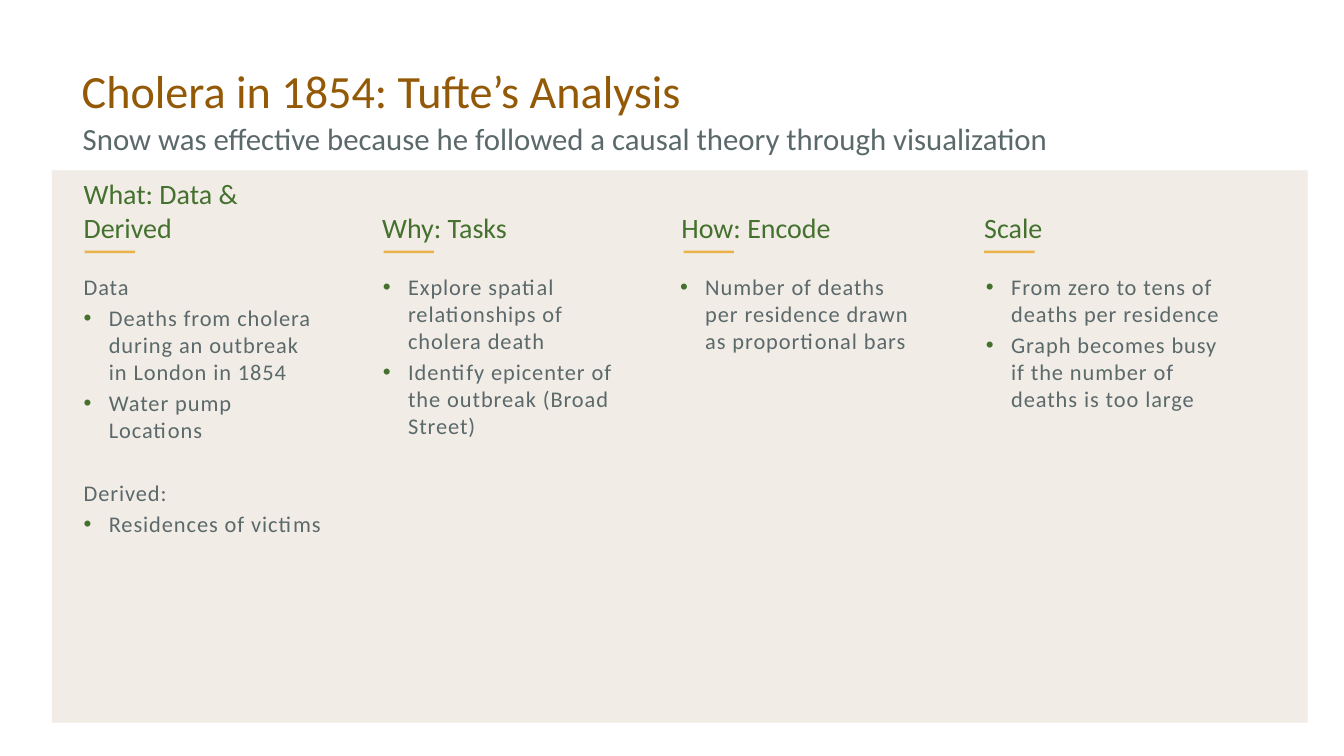
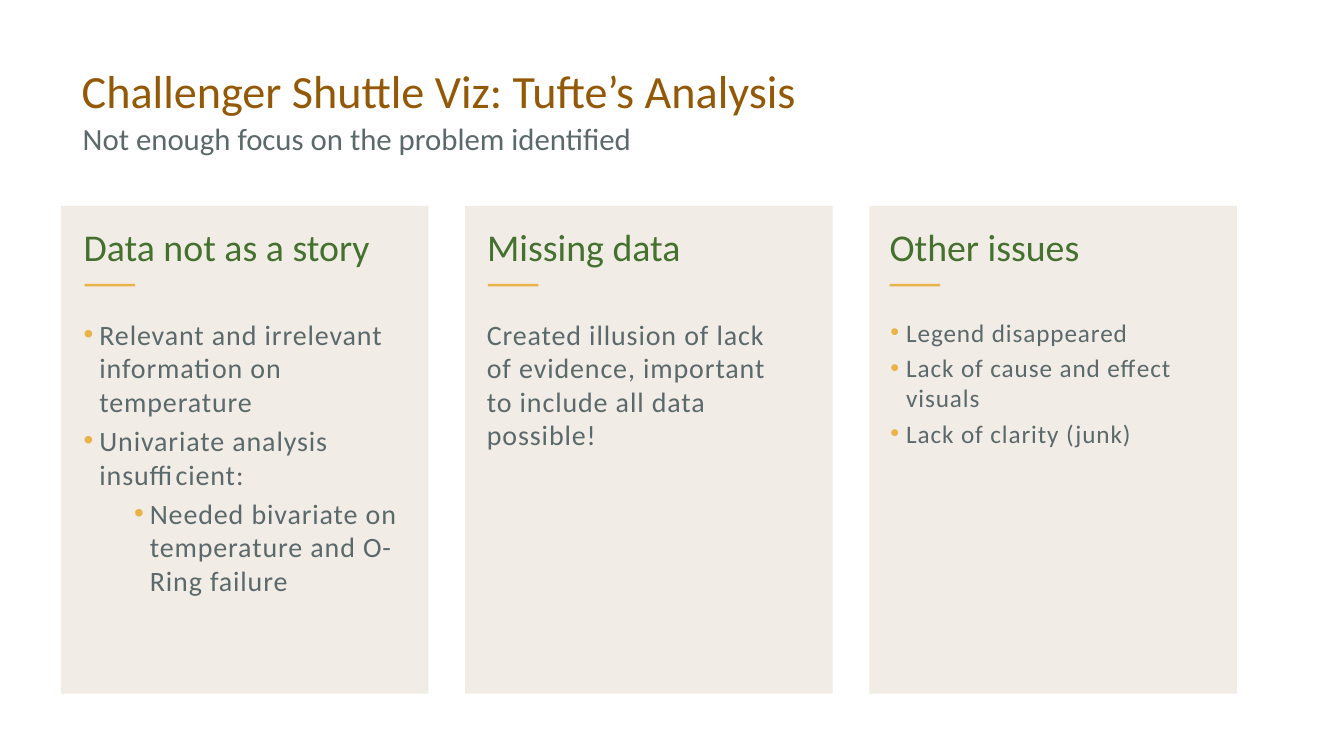
"""Build two slides that summarise Tufte's analyses of cholera and shuttle charts."""
from dataclasses import dataclass

import lxml.etree
import pptx
import pptx.dml.color
import pptx.enum.shapes
import pptx.enum.text
import pptx.oxml.ns
import pptx.util

FONT = "Calibri"
BROWN, GREY, GREEN = "935907", "5B696B", "44712E"
GOLD, SAND = "E9B348", "F1ECE6"
TITLE_LEFT, TITLE_WIDTH = 109.5, 1702
HEADING_HEIGHT = 90
LEVEL_STEP = 72
PANEL_PITCH = 577.4


@dataclass(frozen=True)
class Area:
    """A rectangle in points."""
    left: float
    top: float
    width: float
    height: float


@dataclass(frozen=True)
class Item:
    """One body paragraph; without a level it carries no bullet."""
    text: str
    level: int | None = 0
    space_before: float | None = None


@dataclass(frozen=True)
class Column:
    """A heading, the short bar beneath it and the body text."""
    heading: str
    heading_left: float
    bar_left: float
    body_left: float
    body_width: float
    body_size: float
    items: tuple[Item, ...]


@dataclass(frozen=True)
class ColumnStyle:
    """Vertical layout and bullet look shared by the columns of a slide."""
    heading_size: float
    heading_width: float
    heading_bottom: float
    bar_top: float
    body_top: float
    body_height: float
    bullet_color: str
    hanging: float


@dataclass(frozen=True)
class Page:
    """The whole content of a slide."""
    title: str
    subtitle: str
    panels: tuple[Area, ...]
    style: ColumnStyle
    columns: tuple[Column, ...]


PAGES = (
    Page(
        "Cholera in 1854: Tufte’s Analysis",
        "Snow was effective because he followed a causal theory through visualization",
        (Area(74, 243.5, 1794, 789),),
        ColumnStyle(40, 329, 348.5, 358, 390, 512, GREEN, 36),
        (
            Column("What: Data & Derived", 119.5, 121, 119.5, 343, 32, (
                Item("Data", None),
                Item("Deaths from cholera during an outbreak in London in 1854"),
                Item("Water pump Locations"),
                Item("Derived:", None, 50.5),
                Item("Residences of victims"),
            )),
            Column("Why: Tasks", 546, 548, 547, 343, 32, (
                Item("Explore spatial relationships of cholera death"),
                Item("Identify epicenter of the outbreak (Broad Street)"),
            )),
            Column("How: Encode", 973.5, 976.5, 971.5, 343, 32, (
                Item("Number of deaths per residence drawn as proportional bars"),
            )),
            Column("Scale", 1406, 1406, 1408.5, 358, 32, (
                Item("From zero to tens of deaths per residence"),
                Item("Graph becomes busy if the number of deaths is too large"),
            )),
        ),
    ),
    Page(
        "Challenger Shuttle Viz: Tufte’s Analysis",
        "Not enough focus on the problem identified",
        tuple(Area(87 + PANEL_PITCH * index, 294, 525, 697) for index in range(3)),
        ColumnStyle(54, 456, 384.5, 405.5, 453, 460, GOLD, 22.5),
        (
            Column("Data not as a story", 119.5, 121, 119.5, 453, 40, (
                Item("Relevant and irrelevant information on temperature"),
                Item("Univariate analysis insufficient:"),
                Item("Needed bivariate on temperature and O-Ring failure", 1),
            )),
            Column("Missing data", 696, 697, 695.5, 439, 40, (
                Item("Created illusion of lack of evidence, important to include "
                     "all data possible!", None),
            )),
            Column("Other issues", 1271, 1271, 1272, 456.5, 36, (
                Item("Legend disappeared"),
                Item("Lack of cause and effect visuals"),
                Item("Lack of clarity (junk)"),
            )),
        ),
    ),
)


def color(value: str) -> pptx.dml.color.RGBColor:
    """Turn a hex string into a colour."""
    return pptx.dml.color.RGBColor.from_string(value)


def area_lengths(area: Area) -> tuple[pptx.util.Length, ...]:
    """Give the left, top, width and height of an area as lengths."""
    return tuple(pptx.util.Pt(value)
                 for value in (area.left, area.top, area.width, area.height))


def add_rectangle(slide, area: Area, fill: str) -> None:
    """Draw a plain filled rectangle."""
    box = slide.shapes.add_shape(
        pptx.enum.shapes.MSO_SHAPE.RECTANGLE, *area_lengths(area))
    box.shadow.inherit = False
    box.fill.solid()
    box.fill.fore_color.rgb = color(fill)
    box.line.fill.background()


def prepare_frame(box, margin: float = 0, bottom: bool = False):
    """Set wrapping, margins and anchor, and return the text frame."""
    anchors = pptx.enum.text.MSO_ANCHOR
    frame = box.text_frame
    frame.word_wrap = True
    frame.auto_size = pptx.enum.text.MSO_AUTO_SIZE.NONE
    frame.vertical_anchor = anchors.BOTTOM if bottom else anchors.TOP
    frame.margin_left = frame.margin_right = pptx.util.Pt(margin)
    frame.margin_top = frame.margin_bottom = pptx.util.Pt(margin / 2)
    return frame


def add_text_box(slide, area: Area, margin: float = 0, bottom: bool = False):
    """Add a text box and return its text frame."""
    return prepare_frame(slide.shapes.add_textbox(*area_lengths(area)), margin, bottom)


def add_span(para, text: str, size: float, ink: str):
    """Append a formatted run to a left-aligned paragraph."""
    para.alignment = pptx.enum.text.PP_ALIGN.LEFT
    span = para.add_run()
    span.text = text
    span.font.name = FONT
    span.font.size = pptx.util.Pt(size)
    span.font.color.rgb = color(ink)
    return span


def add_bullet(para, level: int, style: ColumnStyle) -> None:
    """Give a paragraph a coloured bullet with a hanging indent."""
    para.level = level
    properties = para._p.get_or_add_pPr()
    properties.set("marL", str(pptx.util.Pt(style.hanging + LEVEL_STEP * level)))
    properties.set("indent", str(-pptx.util.Pt(style.hanging)))
    tag = pptx.oxml.ns.qn
    bullet_color = lxml.etree.SubElement(properties, tag("a:buClr"))
    lxml.etree.SubElement(bullet_color, tag("a:srgbClr"), val=style.bullet_color)
    lxml.etree.SubElement(properties, tag("a:buFont"), typeface="Arial")
    lxml.etree.SubElement(properties, tag("a:buChar"), char="•")


def add_titles(slide, page: Page) -> None:
    """Place the slide title and the line beneath it."""
    title = slide.shapes.title
    title.left, title.top, title.width, title.height = area_lengths(
        Area(TITLE_LEFT, 101, TITLE_WIDTH, 71))
    para = prepare_frame(title, 7.2).paragraphs[0]
    para.line_spacing = 0.8
    add_span(para, page.title, 66, BROWN)
    frame = add_text_box(slide, Area(TITLE_LEFT, 173.5, TITLE_WIDTH, 108), 7.2)
    frame.margin_left = pptx.util.Pt(8.64)
    para = frame.paragraphs[0]
    para.line_spacing = 0.9
    add_span(para, page.subtitle, 44, GREY)


def add_body(slide, column: Column, style: ColumnStyle) -> None:
    """Write the paragraphs of a column."""
    frame = add_text_box(slide, Area(
        column.body_left, style.body_top, column.body_width, style.body_height))
    for index, item in enumerate(column.items):
        para = frame.add_paragraph() if index else frame.paragraphs[0]
        if index:
            para.space_before = pptx.util.Pt(item.space_before or column.body_size * 0.2)
        if item.level is not None:
            add_bullet(para, item.level, style)
        span = add_span(para, item.text, column.body_size, GREY)
        span.font._element.set("spc", "130")


def add_column(slide, column: Column, style: ColumnStyle) -> None:
    """Draw the heading, bar and body of a column."""
    heading = add_text_box(slide, Area(
        column.heading_left, style.heading_bottom - HEADING_HEIGHT,
        style.heading_width, HEADING_HEIGHT), bottom=True)
    add_span(heading.paragraphs[0], column.heading, style.heading_size, GREEN)
    add_body(slide, column, style)
    add_rectangle(slide, Area(column.bar_left, style.bar_top, 72, 3.6), GOLD)


def main() -> None:
    """Build and save the deck."""
    deck = pptx.Presentation()
    deck.slide_width, deck.slide_height = pptx.util.Pt(1920), pptx.util.Pt(1080)
    for page in PAGES:
        slide = deck.slides.add_slide(deck.slide_layouts[5])
        add_titles(slide, page)
        for panel in page.panels:
            add_rectangle(slide, panel, SAND)
        for column in page.columns:
            add_column(slide, column, page.style)
    deck.save("out.pptx")


if __name__ == "__main__":
    main()
